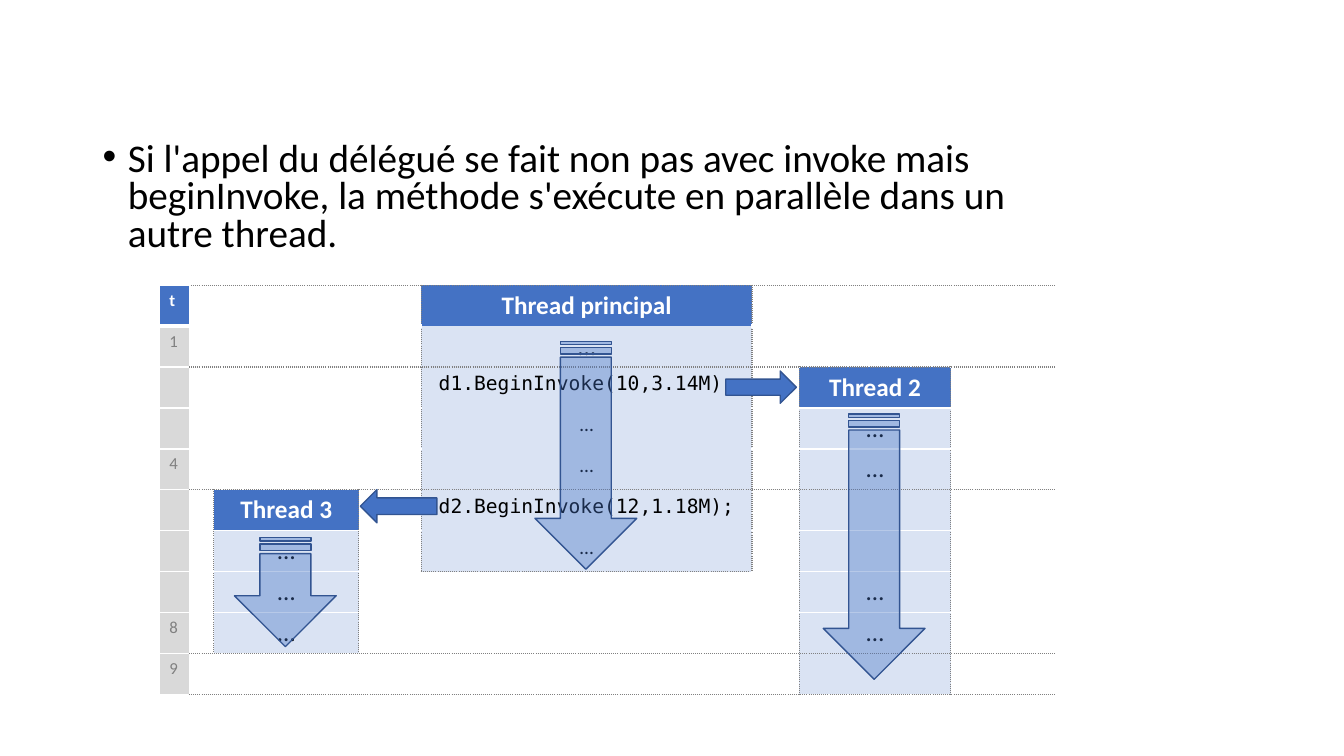
from lxml import etree
from pptx import Presentation
from pptx import util as u
from pptx.dml.color import RGBColor
from pptx.enum import shapes, text
from pptx.oxml import ns

INTRO = ("Si l'appel du délégué se fait non pas avec invoke mais beginInvoke, "
         "la méthode s'exécute en parallèle dans un autre thread.")
SANS, MONO = "Calibri", "DejaVu Sans Mono"
COLORS = {"accent": "4472C4", "outline": "325491", "lane": "DAE3F3", "time": "D9D9D9",
          "gray": "808080", "white": "FFFFFF", "black": "000000"}

TABLE_LEFT, TABLE_TOP = 1.58, 2.83
COLUMNS = [0.3, 0.23, 1.44, 0.62, 3.28, 0.47, 1.5, 1.04]
ROWS, ROW_HEIGHT = 10, 0.406
MAIN = 4
TIMES = {0: "t", 1: "1", 4: "4", 8: "8", 9: "9"}
LANES = {
    2: {"title": "Thread 3", "first": 5, "last": 8, "dots": (6, 7, 8)},
    MAIN: {"title": "Thread principal", "first": 0, "last": 6, "dots": (1, 3, 4, 6)},
    6: {"title": "Thread 2", "first": 2, "last": 9, "dots": (3, 4, 7, 8)},
}
CALLS = {2: "d1.BeginInvoke(10,3.14M);", 5: "d2.BeginInvoke(12,1.18M);"}
DOTTED_ROWS = (0, 2, 5, 9, 10)

FLOW_WIDTH = 1.01
FLOWS = [(MAIN, 1.37, 5.57), (6, 3.15, 6.48), (2, 6.17, 2.66)]
CALL_ARROWS = [(5, 0.21, 2.49, 0.32, 0.7, 270), (3, 0.65, 5.4, 0.33, 0.76, 90)]

DOTTED, WHITE, HEADER, CLEAR = ("gray", 1, "sysDot"), ("white", 1, "solid"), ("white", 3, "solid"), None


def rgb(name):
    return RGBColor.from_string(COLORS[name])


def write(para, content, size=18, color="black", font=SANS, bold=False, align=None):
    span = para.add_run()
    span.text = content
    span.font.size = u.Pt(size)
    span.font.name = font
    span.font.bold = bold
    span.font.color.rgb = rgb(color)
    para.alignment = align


def in_lane(row, col):
    return col in LANES and LANES[col]["first"] <= row <= LANES[col]["last"]


def line_above(row, col):
    if col == 0:
        return HEADER if row == 1 else WHITE
    if row in DOTTED_ROWS or (col == MAIN and row == LANES[MAIN]["last"] + 1):
        return DOTTED
    if col == MAIN:
        return CLEAR
    return HEADER if row == 1 else WHITE


def line_before(row, col):
    if in_lane(row, col) or in_lane(row, col - 1):
        return DOTTED
    return CLEAR if col in (MAIN, MAIN + 1) else WHITE


def set_border(cell, side, style):
    props = cell._tc.get_or_add_tcPr()
    line = etree.SubElement(props, ns.qn(f"a:ln{side}"))
    if style is CLEAR:
        etree.SubElement(line, ns.qn("a:noFill"))
        return
    color, width, dash = style
    line.set("w", str(u.Pt(width)))
    fill = etree.SubElement(line, ns.qn("a:solidFill"))
    etree.SubElement(fill, ns.qn("a:srgbClr"), val=COLORS[color])
    etree.SubElement(line, ns.qn("a:prstDash"), val=dash)


def cell_fill(row, col):
    if col == 0:
        return "accent" if row == 0 else "time"
    if in_lane(row, col):
        return "accent" if row == LANES[col]["first"] else "lane"
    return None


def fill_text(cell, row, col):
    para = cell.text_frame.paragraphs[0]
    center = text.PP_ALIGN.CENTER
    if col == 0 and row in TIMES:
        write(para, TIMES[row], size=12, color="gray" if row else "white", bold=row == 0)
    elif col == MAIN and row in CALLS:
        write(para, CALLS[row], size=14, font=MONO, align=center)
    elif in_lane(row, col):
        lane = LANES[col]
        if row == lane["first"]:
            write(para, lane["title"], color="white", bold=True, align=center)
        elif row in lane["dots"]:
            write(para, "…", size=14 if col == MAIN and row > 1 else 18, align=center)


def add_timeline(page):
    frame = page.shapes.add_table(ROWS, len(COLUMNS), u.Inches(TABLE_LEFT), u.Inches(TABLE_TOP),
                                  u.Inches(sum(COLUMNS)), u.Inches(ROWS * ROW_HEIGHT))
    table = frame.table
    table.first_row = table.horz_banding = False
    for col, width in enumerate(COLUMNS):
        table.columns[col].width = u.Inches(width)
    for row in range(ROWS):
        table.rows[row].height = u.Inches(ROW_HEIGHT)
        for col in range(len(COLUMNS)):
            cell = table.cell(row, col)
            fill_text(cell, row, col)
            set_border(cell, "L", line_before(row, col))
            set_border(cell, "R", line_before(row, col + 1))
            set_border(cell, "T", line_above(row, col))
            set_border(cell, "B", line_above(row + 1, col))
            color = cell_fill(row, col)
            if color:
                cell.fill.solid()
                cell.fill.fore_color.rgb = rgb(color)
            else:
                cell.fill.background()


def grid_point(col, share, row):
    return TABLE_LEFT + sum(COLUMNS[:col]) + share * COLUMNS[col], TABLE_TOP + row * ROW_HEIGHT


def add_arrow(page, kind, center, width, height, turn, opacity=100):
    x, y = center
    arrow = page.shapes.add_shape(kind, u.Inches(x - width / 2), u.Inches(y - height / 2),
                                  u.Inches(width), u.Inches(height))
    arrow.rotation = turn
    arrow.shadow.inherit = False
    arrow.fill.solid()
    arrow.fill.fore_color.rgb = rgb("accent")
    arrow.line.color.rgb = rgb("outline")
    arrow.line.width = u.Pt(1)
    if opacity < 100:
        tint = arrow._element.spPr.find(ns.qn("a:solidFill"))[0]
        etree.SubElement(tint, ns.qn("a:alpha"), val=str(opacity * 1000))


def add_intro(page):
    box = page.shapes.add_textbox(u.Inches(0.92), u.Inches(1.36), u.Inches(9.55), u.Inches(1.25))
    box.text_frame.word_wrap = True
    para = box.text_frame.paragraphs[0]
    write(para, INTRO, size=28)
    para.line_spacing = 0.8
    para.space_before = u.Pt(10)
    props = para._p.get_or_add_pPr()
    props.set("marL", str(u.Inches(0.25)))
    props.set("indent", str(-u.Inches(0.25)))
    etree.SubElement(props, ns.qn("a:buFont"), typeface="Arial")
    etree.SubElement(props, ns.qn("a:buChar"), char="•")


def main():
    deck = Presentation()
    deck.slide_width, deck.slide_height = u.Inches(13.33), u.Inches(7.5)
    page = deck.slides.add_slide(deck.slide_layouts[6])
    add_timeline(page)
    for col, start, rows in FLOWS:
        add_arrow(page, shapes.MSO_SHAPE.STRIPED_RIGHT_ARROW, grid_point(col, 0.5, start + rows / 2),
                  rows * ROW_HEIGHT, FLOW_WIDTH, 90, opacity=38)
    for col, share, row, width, height, turn in CALL_ARROWS:
        add_arrow(page, shapes.MSO_SHAPE.DOWN_ARROW, grid_point(col, share, row), width, height, turn)
    add_intro(page)
    deck.save("out.pptx")


if __name__ == "__main__":
    main()
